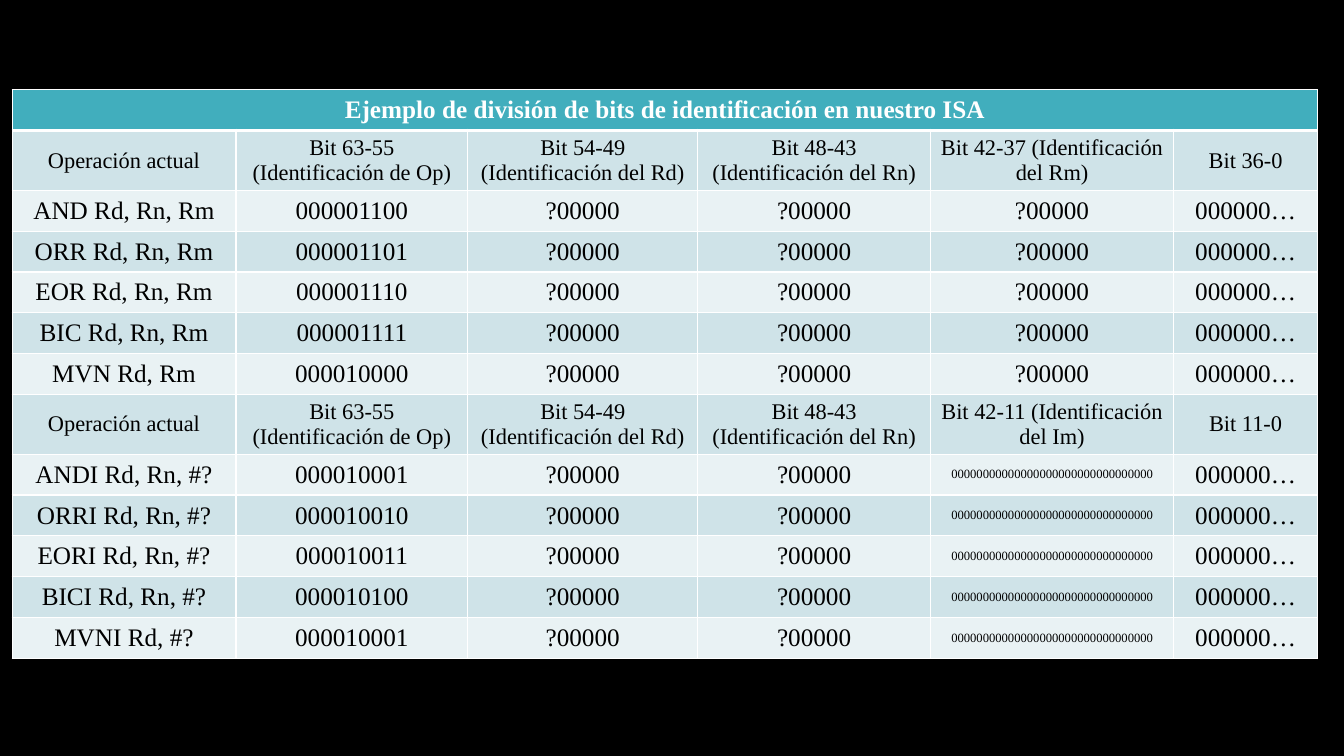
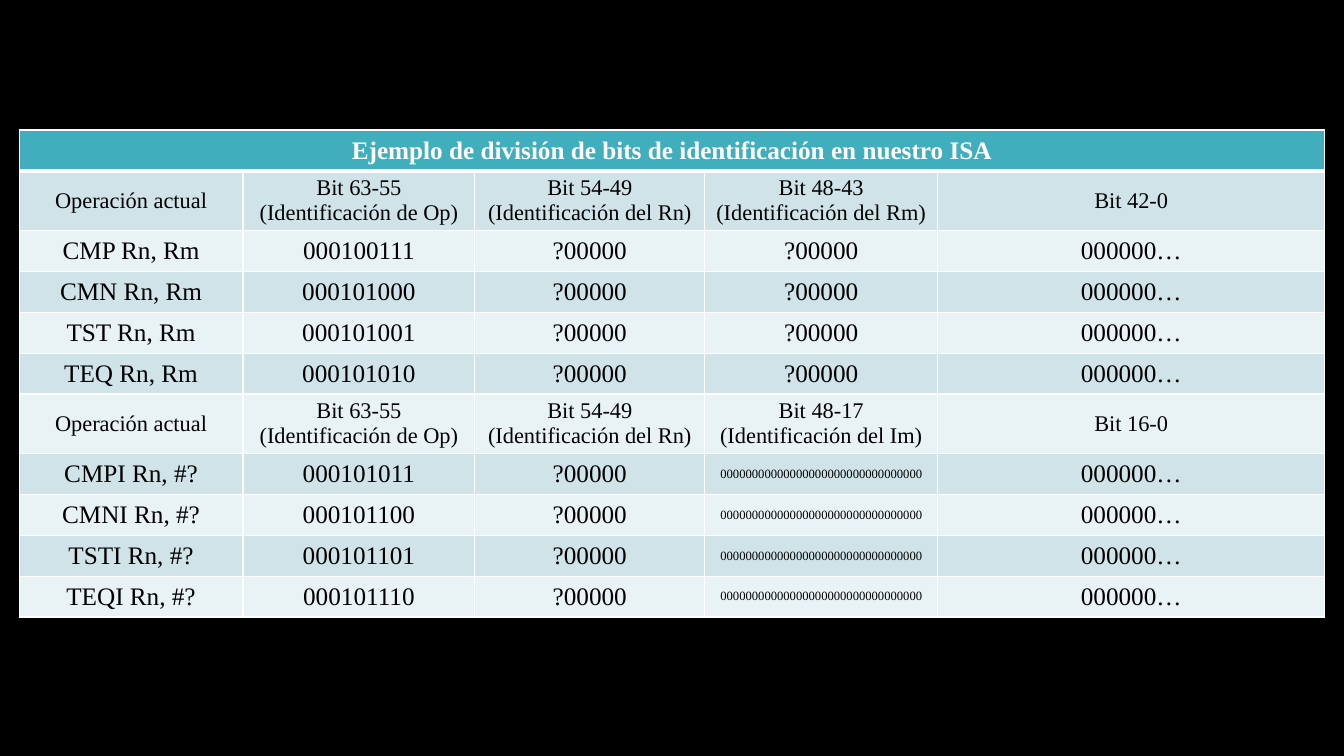
from dataclasses import dataclass
from typing import Any

from lxml.etree import SubElement
from pptx import Presentation
from pptx.dml.color import RGBColor
from pptx.enum.text import MSO_ANCHOR, PP_ALIGN
from pptx.oxml.ns import qn
from pptx.slide import Slide
from pptx.table import _Cell
from pptx.util import Inches, Pt


@dataclass(frozen=True)
class Theme:
    font: str = "Times New Roman"
    back: str = "000000"
    ink: str = "000000"
    line: str = "FFFFFF"
    light: str = "FFFFFF"
    teal: str = "41AEBD"
    bands: tuple[str, str] = ("E9F2F4", "CFE3E8")
    body: int = 18
    head: int = 16
    tiny: int = 9
    thin: int = 1
    thick: int = 3


@dataclass(frozen=True)
class Group:
    heads: tuple[str, ...]
    codes: dict[str, str]
    fields: tuple[str, ...]


@dataclass(frozen=True)
class Sheet:
    left: float
    top: float
    widths: tuple[float, ...]
    groups: tuple[Group, ...]


THEME = Theme()
TITLE = "Ejemplo de división de bits de identificación en nuestro ISA"
ROW = Inches(0.81) // 2
HEAD_ROW = Inches(0.59)
REG = "?00000"
IMM = "0" * 32
REST = "000000…"
FIRST = ("Operación actual", "Bit 63-55 (Identificación de Op)")
BASE = (2.22, 2.3, 2.28, 2.31)
RD_RN = (*FIRST, "Bit 54-49 (Identificación del Rd)", "Bit 48-43 (Identificación del Rn)")
RN = (*FIRST, "Bit 54-49 (Identificación del Rn)")

SHEETS = (
    Sheet(0.12, 0.89, (*BASE, 2.41, 1.43), (
        Group(
            (*RD_RN, "Bit 42-37 (Identificación del Rm)", "Bit 36-0"),
            {
                "AND Rd, Rn, Rm": "000001100",
                "ORR Rd, Rn, Rm": "000001101",
                "EOR Rd, Rn, Rm": "000001110",
                "BIC Rd, Rn, Rm": "000001111",
                "MVN Rd, Rm": "000010000",
            },
            (REG, REG, REG, REST),
        ),
        Group(
            (*RD_RN, "Bit 42-11 (Identificación del Im)", "Bit 11-0"),
            {
                "ANDI Rd, Rn, #?": "000010001",
                "ORRI Rd, Rn, #?": "000010010",
                "EORI Rd, Rn, #?": "000010011",
                "BICI Rd, Rn, #?": "000010100",
                "MVNI Rd, #?": "000010001",
            },
            (REG, REG, IMM, REST),
        ),
    )),
    Sheet(0.19, 1.29, (*BASE, 3.84), (
        Group(
            (*RN, "Bit 48-43 (Identificación del Rm)", "Bit 42-0"),
            {
                "CMP Rn, Rm": "000100111",
                "CMN Rn, Rm": "000101000",
                "TST Rn, Rm": "000101001",
                "TEQ Rn, Rm": "000101010",
            },
            (REG, REG, REST),
        ),
        Group(
            (*RN, "Bit 48-17 (Identificación del Im)", "Bit 16-0"),
            {
                "CMPI Rn, #?": "000101011",
                "CMNI Rn, #?": "000101100",
                "TSTI Rn, #?": "000101101",
                "TEQI Rn, #?": "000101110",
            },
            (REG, IMM, REST),
        ),
    )),
)


def rule_cell(cell: _Cell, top: int, low: int) -> None:
    props = cell._tc.get_or_add_tcPr()
    sides = {"L": THEME.thin, "R": THEME.thin, "T": top, "B": low}
    for side, width in sides.items():
        line = SubElement(props, qn(f"a:ln{side}"), w=str(Pt(width)))
        fill = SubElement(line, qn("a:solidFill"))
        SubElement(fill, qn("a:srgbClr"), val=THEME.line)


def fill_cell(cell: _Cell, text: str, row: int, size: int) -> None:
    title = row == 0
    rule_cell(
        cell,
        THEME.thick if row == 1 else THEME.thin,
        THEME.thick if title else THEME.thin,
    )
    cell.fill.solid()
    cell.fill.fore_color.rgb = RGBColor.from_string(
        THEME.teal if title else THEME.bands[row % 2]
    )
    cell.vertical_anchor = MSO_ANCHOR.MIDDLE
    cell.text = text
    para = cell.text_frame.paragraphs[0]
    para.alignment = PP_ALIGN.CENTER
    font = para.runs[0].font if text else para.font
    style: dict[str, Any] = {"name": THEME.font, "size": Pt(size), "bold": title}
    for name, value in style.items():
        setattr(font, name, value)
    font.color.rgb = RGBColor.from_string(THEME.light if title else THEME.ink)


def list_rows(sheet: Sheet) -> list[tuple[int, tuple[str, ...]]]:
    blanks = ("",) * (len(sheet.widths) - 1)
    rows = [(THEME.body, (TITLE, *blanks))]
    for group in sheet.groups:
        rows.append((THEME.head, group.heads))
        rows += [
            (THEME.body, (name, code, *group.fields))
            for name, code in group.codes.items()
        ]
    return rows


def draw_sheet(slide: Slide, sheet: Sheet) -> None:
    rows = list_rows(sheet)
    count = len(sheet.widths)
    table = slide.shapes.add_table(
        len(rows), count, Inches(sheet.left), Inches(sheet.top),
        Inches(sum(sheet.widths)), ROW * len(rows),
    ).table
    for col, width in zip(table.columns, sheet.widths):
        col.width = Inches(width)
    for at, (size, texts) in enumerate(rows):
        table.rows[at].height = HEAD_ROW if size == THEME.head else ROW
        for col, text in enumerate(texts):
            fill_cell(table.cell(at, col), text, at, THEME.tiny if text == IMM else size)
    table.cell(0, 0).merge(table.cell(0, count - 1))


def main() -> None:
    deck = Presentation()
    deck.slide_width, deck.slide_height = Inches(13.33), Inches(7.5)
    back = deck.slide_master.background.fill
    back.solid()
    back.fore_color.rgb = RGBColor.from_string(THEME.back)
    for sheet in SHEETS:
        draw_sheet(deck.slides.add_slide(deck.slide_layouts[6]), sheet)
    deck.save("out.pptx")


if __name__ == "__main__":
    main()
